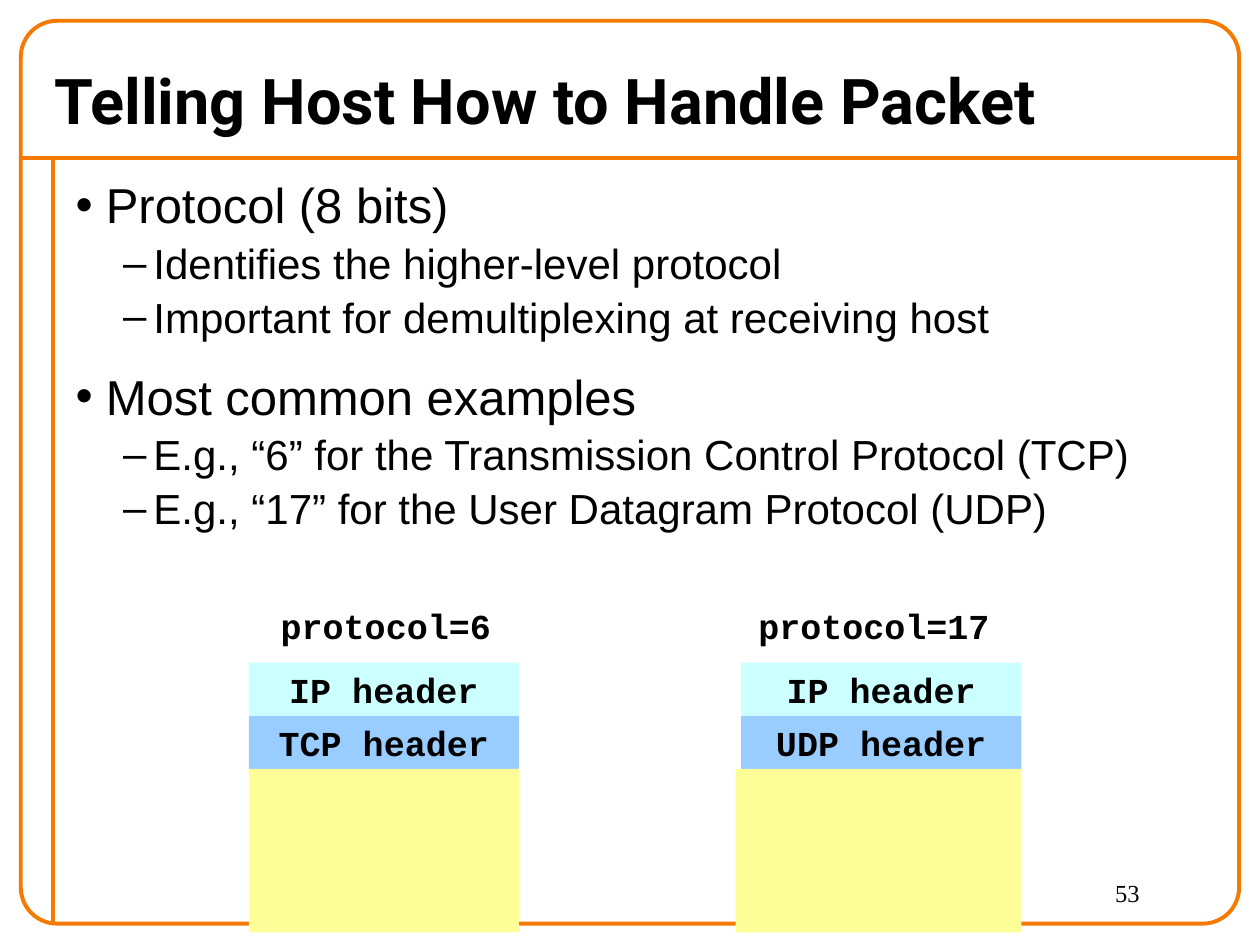
from lxml import etree
from pptx import Presentation
from pptx.dml.color import RGBColor
from pptx.enum import shapes, text
from pptx.oxml.ns import qn
from pptx.util import Cm, Pt

ORANGE = "F47A00"
BLACK = "000000"
CYAN, BLUE, YELLOW = "CCFFFF", "99CCFF", "FFFF99"
BULLETS = [
    (0, "Protocol (8 bits)"),
    (1, "Identifies the higher-level protocol"),
    (1, "Important for demultiplexing at receiving host"),
    (0, "Most common examples"),
    (1, "E.g., “6” for the Transmission Control Protocol (TCP)"),
    (1, "E.g., “17” for the User Datagram Protocol (UDP)"),
]
LEVELS = [("•", 0.61, 28, 14), ("–", 1.57, 24, 2)]


def colour(value):
    return RGBColor.from_string(value)


def add_span(para, words, name, size, bold=False):
    span = para.add_run()
    span.text = words
    span.font.name = name
    span.font.size = Pt(size)
    span.font.bold = bold
    span.font.color.rgb = colour(BLACK)


def place(shape, left, top, width, height):
    shape.left, shape.top = Cm(left), Cm(top)
    shape.width, shape.height = Cm(width), Cm(height)


def add_rule(page, x1, y1, x2, y2):
    rule = page.shapes.add_connector(
        shapes.MSO_CONNECTOR.STRAIGHT, Cm(x1), Cm(y1), Cm(x2), Cm(y2))
    rule.line.color.rgb = colour(ORANGE)
    rule.line.width = Pt(2.25)
    etree.SubElement(rule._element.spPr, qn("a:effectLst"))


def add_border(page):
    border = page.shapes.add_shape(
        shapes.MSO_SHAPE.ROUNDED_RECTANGLE, Cm(0.42), Cm(0.42), Cm(24.56), Cm(18.2))
    border.adjustments[0] = 0.04
    border.shadow.inherit = False
    border.fill.background()
    border.line.color.rgb = colour(ORANGE)
    border.line.width = Pt(2.25)


def add_label(page, words, left, top, width, height, name, size,
              bold=False, align=text.PP_ALIGN.LEFT):
    box = page.shapes.add_textbox(Cm(left), Cm(top), Cm(width), Cm(height))
    box.text_frame.word_wrap = True
    para = box.text_frame.paragraphs[0]
    para.alignment = align
    add_span(para, words, name, size, bold)


def add_block(page, fill, left, top, width, height, words=""):
    block = page.shapes.add_shape(
        shapes.MSO_SHAPE.RECTANGLE, Cm(left), Cm(top), Cm(width), Cm(height))
    block.shadow.inherit = False
    block.fill.solid()
    block.fill.fore_color.rgb = colour(fill)
    block.line.fill.background()
    if words:
        frame = block.text_frame
        frame.vertical_anchor = text.MSO_ANCHOR.TOP
        para = frame.paragraphs[0]
        para.alignment = text.PP_ALIGN.CENTER
        add_span(para, words, "Courier New", 20, True)


def fill_title(page, words):
    title = page.shapes.title
    place(title, 0.84, 1.05, 24.13, 1.9)
    frame = title.text_frame
    frame.auto_size = text.MSO_AUTO_SIZE.NONE
    frame.vertical_anchor = text.MSO_ANCHOR.MIDDLE
    para = frame.paragraphs[0]
    para.alignment = text.PP_ALIGN.LEFT
    add_span(para, words, "Roboto", 36, True)


def fill_body(page):
    body = page.placeholders[1]
    place(body, 1.27, 3.4, 23.5, 7.95)
    frame = body.text_frame
    frame.auto_size = text.MSO_AUTO_SIZE.NONE
    for index, (level, words) in enumerate(BULLETS):
        para = frame.add_paragraph() if index else frame.paragraphs[0]
        mark, margin, size, gap = LEVELS[level]
        para.level = level
        para.space_before = Pt(gap if index else 0)
        properties = para._p.get_or_add_pPr()
        properties.set("marL", str(Cm(margin)))
        properties.set("indent", str(Cm(-0.61)))
        etree.SubElement(properties, qn("a:buFont"), typeface="Arial")
        etree.SubElement(properties, qn("a:buChar"), char=mark)
        add_span(para, words, "Arial", size)


def add_packet(page, number, transport, left, width, payload_left, label_left, label_width):
    top, row = 13.36, 1.07
    right = left + width
    add_block(page, CYAN, left, top, width, row, "IP header")
    add_block(page, BLUE, left, top + row, width, row, f"{transport} header")
    add_block(page, YELLOW, payload_left, top + 2 * row, right - payload_left, 3.3)
    add_label(page, f"protocol={number}", label_left, 12.07, label_width, 1.09,
              "Courier New", 20, True, text.PP_ALIGN.CENTER)


def main():
    deck = Presentation()
    deck.slide_width, deck.slide_height = Cm(25.4), Cm(19.05)
    page = deck.slides.add_slide(deck.slide_layouts[1])
    add_rule(page, 0.42, 3.18, 24.98, 3.18)
    add_rule(page, 1.06, 3.18, 1.06, 18.62)
    add_border(page)
    add_label(page, "53", 22.23, 17.57, 2.54, 1.06, "Times New Roman", 14)
    fill_title(page, "Telling Host How to Handle Packet")
    fill_body(page)
    add_packet(page, 6, "TCP", 5.02, 5.44, 5.02, 5.28, 5)
    add_packet(page, 17, "UDP", 14.94, 5.65, 14.83, 14.82, 5.6)
    deck.save("out.pptx")


if __name__ == "__main__":
    main()
